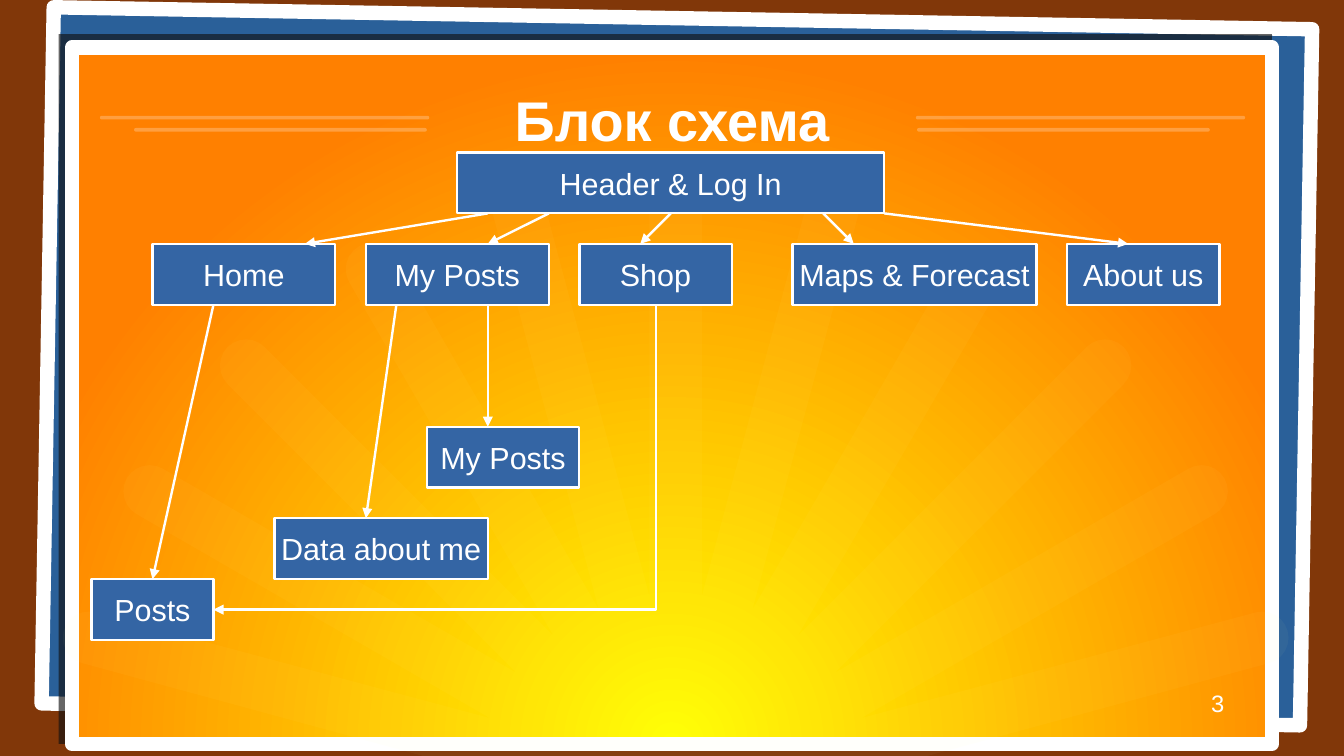
from dataclasses import dataclass
from math import asin, cos, pi, radians, sin

from lxml import etree
from pptx import Presentation
from pptx.dml.color import RGBColor
from pptx.enum.shapes import MSO_CONNECTOR, MSO_SHAPE
from pptx.enum.text import MSO_ANCHOR, PP_ALIGN
from pptx.oxml.ns import qn
from pptx.util import Inches, Pt

RECT, ROUNDED = MSO_SHAPE.RECTANGLE, MSO_SHAPE.ROUNDED_RECTANGLE
STRAIGHT, ELBOW = MSO_CONNECTOR.STRAIGHT, MSO_CONNECTOR.ELBOW
CENTER, RIGHT = PP_ALIGN.CENTER, PP_ALIGN.RIGHT
MIDDLE, TOP = MSO_ANCHOR.MIDDLE, MSO_ANCHOR.TOP


@dataclass(frozen=True)
class Theme:
    font: str = "Arial"
    wall: str = "813709"
    back_card: str = "2A6099"
    shade: str = "111111"
    sun: str = "FFFF00"
    sky: str = "FF8000"
    ray: str = "FFFFA6"
    box: str = "3465A4"
    white: str = "FFFFFF"
    title_size: float = 33
    box_size: float = 18
    number_size: float = 14
    frame_width: float = 8.5
    line_width: float = 1.42


@dataclass(frozen=True)
class Area:
    left: float
    top: float
    width: float
    height: float

    def emu(self):
        return [Inches(v) for v in (self.left, self.top, self.width, self.height)]


@dataclass(frozen=True)
class Block:
    label: str
    left: float
    top: float
    width: float


@dataclass(frozen=True)
class Arrow:
    x1: float
    y1: float
    x2: float
    y2: float


THEME = Theme()
BOX_HEIGHT = 0.5
HEADER_TOP, MENU_TOP = 1.25, 2.0
HEADER_BOTTOM, MENU_BOTTOM = HEADER_TOP + BOX_HEIGHT, MENU_TOP + BOX_HEIGHT

BLOCKS = [
    Block("Home", 1.25, MENU_TOP, 1.5),
    Block("My Posts", 3, MENU_TOP, 1.5),
    Block("Shop", 4.75, MENU_TOP, 1.25),
    Block("Maps & Forecast", 6.5, MENU_TOP, 2),
    Block("About us", 8.75, MENU_TOP, 1.25),
    Block("Posts", 0.75, 4.75, 1),
    Block("Data about me", 2.25, 4.25, 1.75),
    Block("My Posts", 3.5, 3.5, 1.25),
    Block("Header & Log In", 3.75, HEADER_TOP, 3.5),
]
HEADER_LINKS = [(4, 2.5), (4.5, 4), (5.5, 5.25), (6.75, 7), (7.25, 9.25)]
ARROWS = [Arrow(x1, HEADER_BOTTOM, x2, MENU_TOP) for x1, x2 in HEADER_LINKS] + [
    Arrow(1.75, MENU_BOTTOM, 1.25, 4.75),
    Arrow(3.25, MENU_BOTTOM, 3, 4.25),
    Arrow(4, MENU_BOTTOM, 4, 3.5),
]
SHOP_TO_POSTS = Arrow(5.38, MENU_BOTTOM, 1.75, 5)
TITLE_RULES = [Area(0.82, 0.95, 2.7, 0.03), Area(1.1, 1.05, 2.4, 0.03),
               Area(7.51, 0.95, 2.7, 0.03), Area(7.52, 1.05, 2.4, 0.03)]


def rgb(color: str) -> RGBColor:
    return RGBColor.from_string(color)


def paint(shape, color: str, alpha: int = 100) -> None:
    """Fill with a solid colour, alpha being the opacity in percent."""
    shape.fill.solid()
    shape.fill.fore_color.rgb = rgb(color)
    if alpha < 100:
        clr = shape.fill._xPr.find(qn("a:solidFill"))[0]
        etree.SubElement(clr, qn("a:alpha"), val=str(alpha * 1000))


def outline(line, width: float) -> None:
    line.color.rgb = rgb(THEME.white)
    line.width = Pt(width)


def add_panel(slide, kind, area: Area, color: str, alpha: int = 100, frame: float = 0):
    panel = slide.shapes.add_shape(kind, *area.emu())
    panel.shadow.inherit = False
    paint(panel, color, alpha)
    if frame:
        outline(panel.line, frame)
    else:
        panel.line.fill.background()
    return panel


def glow_from_bottom(panel) -> None:
    """Give the panel a round gradient centred on its bottom edge."""
    panel.fill.gradient()
    for stop, position, color in zip(panel.fill.gradient_stops, (0, 1), (THEME.sun, THEME.sky)):
        stop.position = position
        stop.color.rgb = rgb(color)
    gradient = panel.element.spPr.find(qn("a:gradFill"))
    linear = gradient.find(qn("a:lin"))
    circle = etree.Element(qn("a:path"), path="circle")
    etree.SubElement(circle, qn("a:fillToRect"), l="50000", t="100000", r="50000", b="0")
    gradient.replace(linear, circle)


def ray_points() -> list[tuple[float, float]]:
    """Outline of eleven round-tipped rays, 15 degrees apart, around the sun."""
    sun_x, sun_y, reach, half = 5.54, 6.52, 4.98, 0.215
    step = radians(15)
    notch = half / sin(step / 2)
    points = [(5.27, 6.69)]
    for number in range(11, 0, -1):
        angle = number * step
        tip_x, tip_y = sun_x + reach * cos(angle), sun_y - reach * sin(angle)
        for part in range(13):
            turn = angle + pi / 2 - part * pi / 12
            points.append((tip_x + half * cos(turn), tip_y - half * sin(turn)))
        if number > 1:
            between = angle - asin(half / notch)
            points.append((sun_x + notch * cos(between), sun_y - notch * sin(between)))
    return points + [(5.8, 6.69), (5.69, 6.69), (5.59, 6.63), (5.54, 6.54),
                     (5.48, 6.63), (5.38, 6.69)]


def add_rays(slide) -> None:
    points = [(Inches(x), Inches(y)) for x, y in ray_points()]
    builder = slide.shapes.build_freeform(*points[0])
    builder.add_line_segments(points[1:], close=True)
    rays = builder.convert_to_shape()
    rays.shadow.inherit = False
    paint(rays, THEME.ray, 4)
    rays.line.fill.background()


def write(frame, text: str, size: float, align, anchor, bold: bool = False) -> None:
    frame.vertical_anchor = anchor
    paragraph = frame.paragraphs[0]
    paragraph.alignment = align
    run = paragraph.add_run()
    run.text = text
    run.font.name, run.font.size, run.font.bold = THEME.font, Pt(size), bold
    run.font.color.rgb = rgb(THEME.white)


def clear_margins(frame) -> None:
    frame.word_wrap = True
    frame.margin_left = frame.margin_right = frame.margin_top = frame.margin_bottom = 0


def add_block(slide, block: Block) -> None:
    area = Area(block.left, block.top, block.width, BOX_HEIGHT)
    box = add_panel(slide, RECT, area, THEME.box, frame=THEME.line_width)
    box.text_frame.word_wrap = False
    write(box.text_frame, block.label, THEME.box_size, CENTER, MIDDLE)


def add_arrow(slide, arrow: Arrow, kind=STRAIGHT):
    ends = [Inches(v) for v in (arrow.x1, arrow.y1, arrow.x2, arrow.y2)]
    connector = slide.shapes.add_connector(kind, *ends)
    outline(connector.line, THEME.line_width)
    etree.SubElement(connector.line._get_or_add_ln(), qn("a:tailEnd"), type="triangle")
    etree.SubElement(connector.element.spPr, qn("a:effectLst"))
    return connector


def add_corner_arrow(slide, arrow: Arrow) -> None:
    """Arrow that runs down, then left: a one-corner elbow turned by 90 degrees."""
    mid_x, mid_y = (arrow.x1 + arrow.x2) / 2, (arrow.y1 + arrow.y2) / 2
    half_w, half_h = (arrow.y2 - arrow.y1) / 2, (arrow.x1 - arrow.x2) / 2
    unturned = Arrow(mid_x - half_w, mid_y - half_h, mid_x + half_w, mid_y + half_h)
    properties = add_arrow(slide, unturned, ELBOW).element.spPr
    properties.find(qn("a:prstGeom")).set("prst", "bentConnector2")
    properties.find(qn("a:xfrm")).set("rot", "5400000")


def add_backdrop(slide) -> None:
    slide.background.fill.solid()
    slide.background.fill.fore_color.rgb = rgb(THEME.wall)
    back = add_panel(slide, RECT, Area(0.39, 0.15, 10.32, 5.71), THEME.back_card,
                     frame=THEME.frame_width)
    back.rotation = 1
    add_panel(slide, RECT, Area(0.48, 0.28, 9.95, 5.82), THEME.shade, 64)
    glow_from_bottom(add_panel(slide, RECT, Area(0.59, 0.39, 9.84, 5.71), THEME.sky,
                               frame=THEME.frame_width))
    add_rays(slide)
    for area in TITLE_RULES:
        add_panel(slide, ROUNDED, area, THEME.white, 25).adjustments[0] = 0.5


def add_title(slide) -> None:
    title = slide.shapes.title
    title.element.getparent().append(title.element)
    title.left, title.top, title.width, title.height = Area(3.54, 0.49, 3.94, 0.98).emu()
    clear_margins(title.text_frame)
    write(title.text_frame, "Блок схема", THEME.title_size, CENTER, MIDDLE, bold=True)


def main() -> None:
    deck = Presentation()
    deck.slide_width, deck.slide_height = Inches(11.02), Inches(6.2)
    slide = deck.slides.add_slide(deck.slide_layouts[5])
    add_backdrop(slide)
    add_title(slide)
    for block in BLOCKS:
        add_block(slide, block)
    for arrow in ARROWS:
        add_arrow(slide, arrow)
    add_corner_arrow(slide, SHOP_TO_POSTS)
    page = slide.shapes.add_textbox(*Area(7.68, 5.65, 2.36, 0.43).emu()).text_frame
    clear_margins(page)
    write(page, "3", THEME.number_size, RIGHT, TOP)
    deck.save("out.pptx")


if __name__ == "__main__":
    main()
